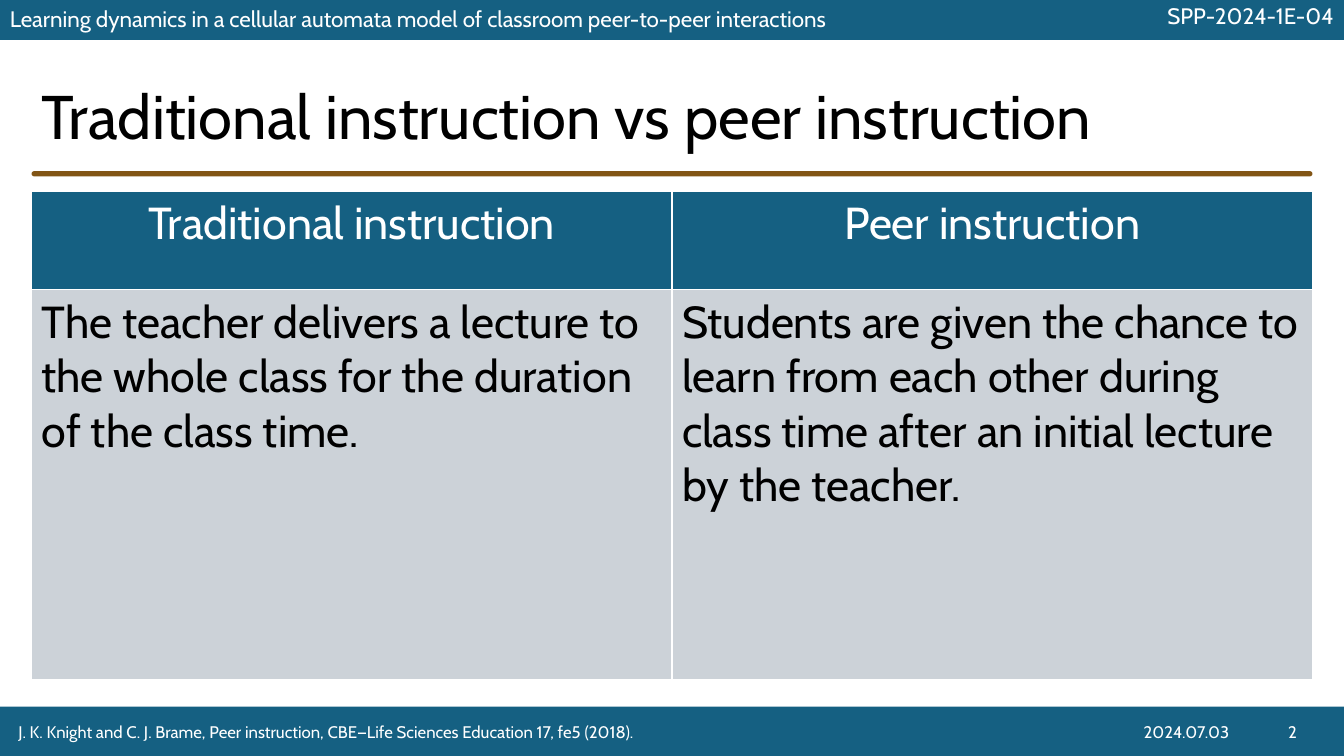
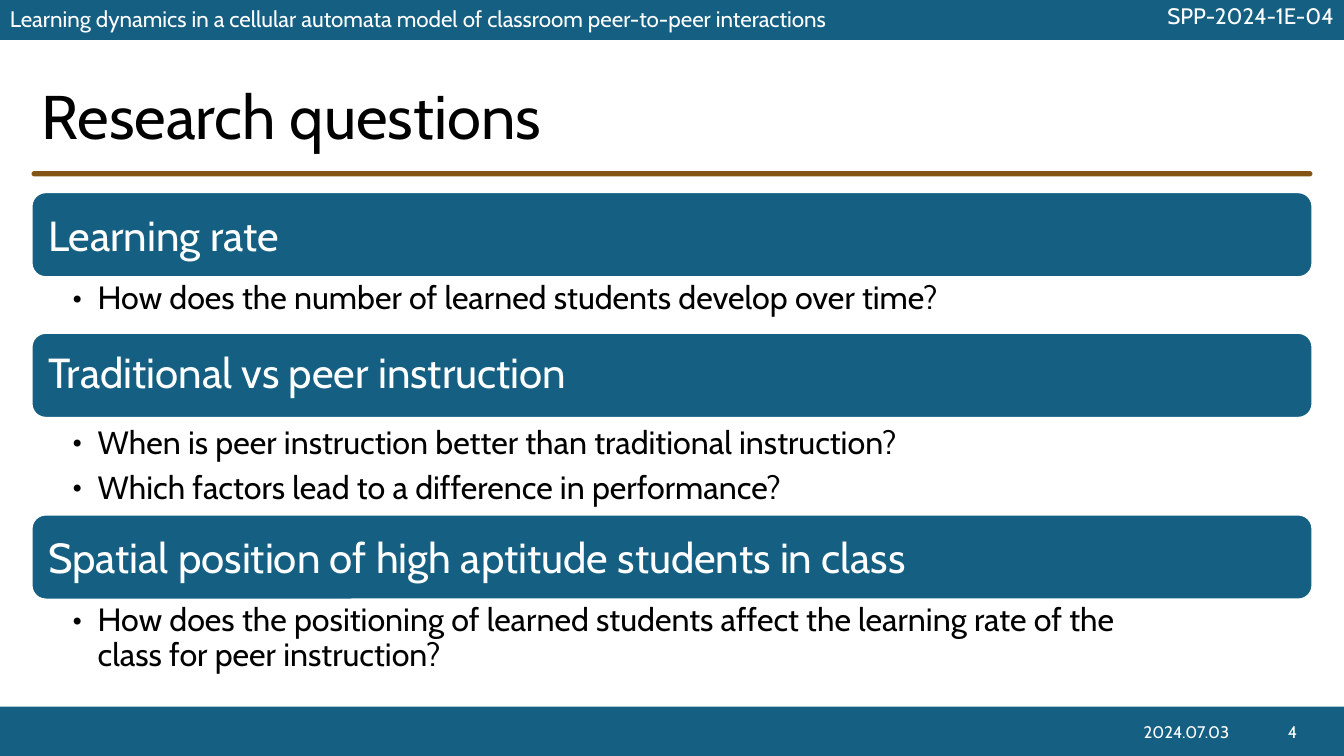
from lxml.etree import SubElement
from pptx import Presentation
from pptx.dml.color import RGBColor
from pptx.enum.shapes import MSO_SHAPE
from pptx.enum.text import MSO_ANCHOR, MSO_AUTO_SIZE, PP_ALIGN
from pptx.oxml import parse_xml
from pptx.oxml.ns import nsdecls, qn
from pptx.util import Pt

PX = 9525
FONT = "Cabin"
BLUE, BROWN, GREY, WHITE, BLACK = "156082", "825515", "CCD2D8", "FFFFFF", "000000"
LEFT, WIDTH = 30, 1220


def px(*lengths):
    return [length * PX for length in lengths]


def write(frame, lines, size, colour, align=PP_ALIGN.LEFT, anchor=MSO_ANCHOR.MIDDLE,
          spacing=1.0, after=0):
    frame.word_wrap = True
    frame.auto_size = MSO_AUTO_SIZE.NONE
    frame.vertical_anchor = anchor
    for number, line in enumerate(lines):
        paragraph = frame.add_paragraph() if number else frame.paragraphs[0]
        paragraph.alignment = align
        paragraph.line_spacing = spacing
        paragraph.space_before = Pt(0)
        paragraph.space_after = Pt(after)
        for part_number, part in enumerate(line.split("\n")):
            if part_number:
                paragraph.add_line_break()
            run = paragraph.add_run()
            run.text = part
            run.font.name = FONT
            run.font.size = Pt(size)
            run.font.bold = False
            run.font.color.rgb = RGBColor.from_string(colour)


deck = Presentation()
deck.slide_width, deck.slide_height = px(1280, 720)
layout = deck.slide_layouts[5]
for placeholder in list(layout.placeholders):
    if placeholder.placeholder_format.idx:
        layout.shapes.element.remove(placeholder.element)

comparison = deck.slides.add_slide(layout)
questions = deck.slides.add_slide(layout)

shared = []
for preset, box, colour in [
    (MSO_SHAPE.RECTANGLE, (0, 673, 1280, 47), BLUE),
    (MSO_SHAPE.RECTANGLE, (0, 0, 1280, 38), BLUE),
    (MSO_SHAPE.ROUNDED_RECTANGLE, (LEFT, 163, WIDTH, 5), BROWN),
]:
    band = comparison.shapes.add_shape(preset, *px(*box))
    band.shadow.inherit = False
    band.fill.solid()
    band.fill.fore_color.rgb = RGBColor.from_string(colour)
    band.line.fill.background()
    shared.append(band)
shared[-1].adjustments[0] = 0.5

for box, heading, align, anchor in [
    ((0, 0, 934, 38),
     "Learning dynamics in a cellular automata model of classroom peer-to-peer interactions",
     PP_ALIGN.LEFT, MSO_ANCHOR.MIDDLE),
    ((760, 0, 520, 38), "SPP-2024-1E-04", PP_ALIGN.RIGHT, MSO_ANCHOR.TOP),
]:
    header = comparison.shapes.add_textbox(*px(*box))
    write(header.text_frame, [heading], 16, WHITE, align, anchor, spacing=0.9)
    shared.append(header)

for part in shared:
    layout.shapes.element.append(part.element)

citation = "J. K. Knight and C. J. Brame, Peer instruction, CBE—Life Sciences Education 17, fe5 (2018)."
for slide, title_text, page, source in [
    (comparison, "Traditional instruction vs peer instruction", "2", citation),
    (questions, "Research questions", "4", ""),
]:
    title = slide.shapes.title
    title.left, title.top, title.width, title.height = px(LEFT, 73, 1048, 82)
    write(title.text_frame, [title_text], 44, BLACK, spacing=0.9)
    for left, width, note, align in [
        (1192, 78, page, PP_ALIGN.CENTER),
        (8, 1060, source, PP_ALIGN.LEFT),
        (1073, 114, "2024.07.03", PP_ALIGN.CENTER),
    ]:
        if note:
            footer = slide.shapes.add_textbox(*px(left, 678, width, 37))
            write(footer.text_frame, [note], 12, WHITE, align)

methods = comparison.shapes.add_table(2, 2, *px(LEFT, 182, WIDTH, 465)).table
for row, height in zip(methods.rows, px(94, 371)):
    row.height = height
for column in methods.columns:
    column.width = WIDTH // 2 * PX

for row_number, (texts, fill, colour, align) in enumerate([
    (["Traditional instruction", "Peer instruction"], BLUE, WHITE, PP_ALIGN.CENTER),
    (["The teacher delivers a lecture to the whole class for the duration of the class time.",
      "Students are given the chance to learn from each other during class time after "
      "an initial lecture by the teacher."], GREY, BLACK, PP_ALIGN.LEFT),
]):
    for column_number, text in enumerate(texts):
        cell = methods.cell(row_number, column_number)
        write(cell.text_frame, [text], 32, colour, align, MSO_ANCHOR.TOP)
        cell.fill.solid()
        cell.fill.fore_color.rgb = RGBColor.from_string(fill)
        properties = cell.text_frame._txBody.getparent().get_or_add_tcPr()
        for position, edge in enumerate(["lnL", "lnR", "lnT", "lnB"]):
            properties.insert(position, parse_xml(
                f'<a:{edge} {nsdecls("a")} w="{Pt(1)}"><a:solidFill>'
                f'<a:srgbClr val="{WHITE}"/></a:solidFill></a:{edge}>'))

BAR_HEIGHT = 81
top = 183
for topic, topic_spacing, details, detail_spacing, details_height in [
    ("Learning rate", 1.0,
     ["How does the number of learned students develop over time?"], 0.9, 53),
    ("Traditional vs peer instruction", 0.9,
     ["When is peer instruction better than traditional instruction?",
      "Which factors lead to a difference in performance?"], 1.0, 92),
    ("Spatial position of high aptitude students in class", 1.0,
     ["How does the positioning of learned students affect the learning rate of the\n"
      "class for peer instruction?"], 0.9, 77),
]:
    bar = questions.shapes.add_shape(
        MSO_SHAPE.ROUNDED_RECTANGLE, *px(LEFT, top, WIDTH, BAR_HEIGHT))
    bar.shadow.inherit = False
    bar.fill.solid()
    bar.fill.fore_color.rgb = RGBColor.from_string(BLUE)
    bar.line.color.rgb = RGBColor.from_string(WHITE)
    bar.line.width = Pt(1.5)
    bar.text_frame.margin_left, bar.text_frame.margin_right = px(12, 12)
    write(bar.text_frame, [topic], 30, WHITE, spacing=topic_spacing)

    bullets = questions.shapes.add_textbox(
        *px(LEFT, top + BAR_HEIGHT, WIDTH, details_height)).text_frame
    (bullets.margin_left, bullets.margin_top,
     bullets.margin_right, bullets.margin_bottom) = px(39, 4, 22, 4)
    write(bullets, details, 23, BLACK, anchor=MSO_ANCHOR.TOP,
          spacing=detail_spacing, after=4.6)
    for paragraph in bullets.paragraphs:
        paragraph.level = 1
        properties = paragraph._p.get_or_add_pPr()
        properties.set("marL", str(24 * PX))
        properties.set("indent", str(-24 * PX))
        SubElement(properties, qn("a:buFont")).set("typeface", FONT)
        SubElement(properties, qn("a:buChar")).set("char", "•")
    top += BAR_HEIGHT + details_height

deck.save("out.pptx")
